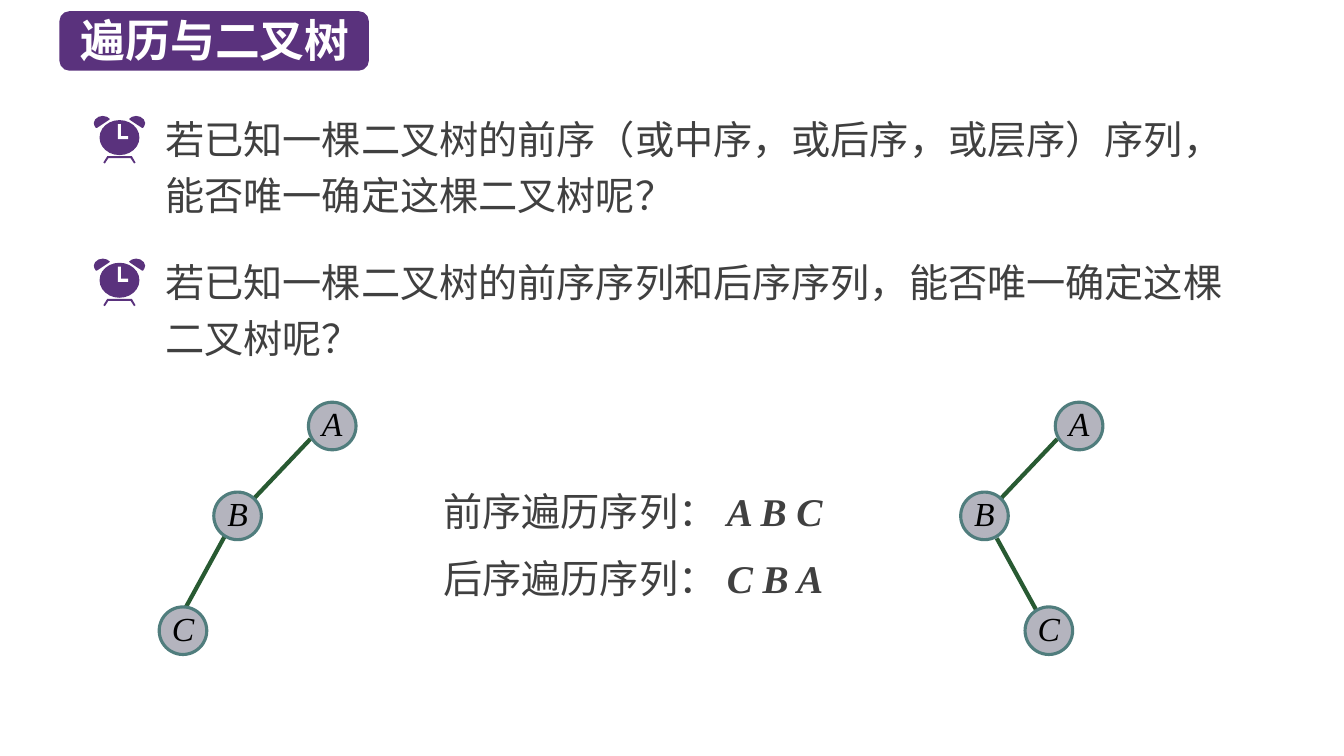
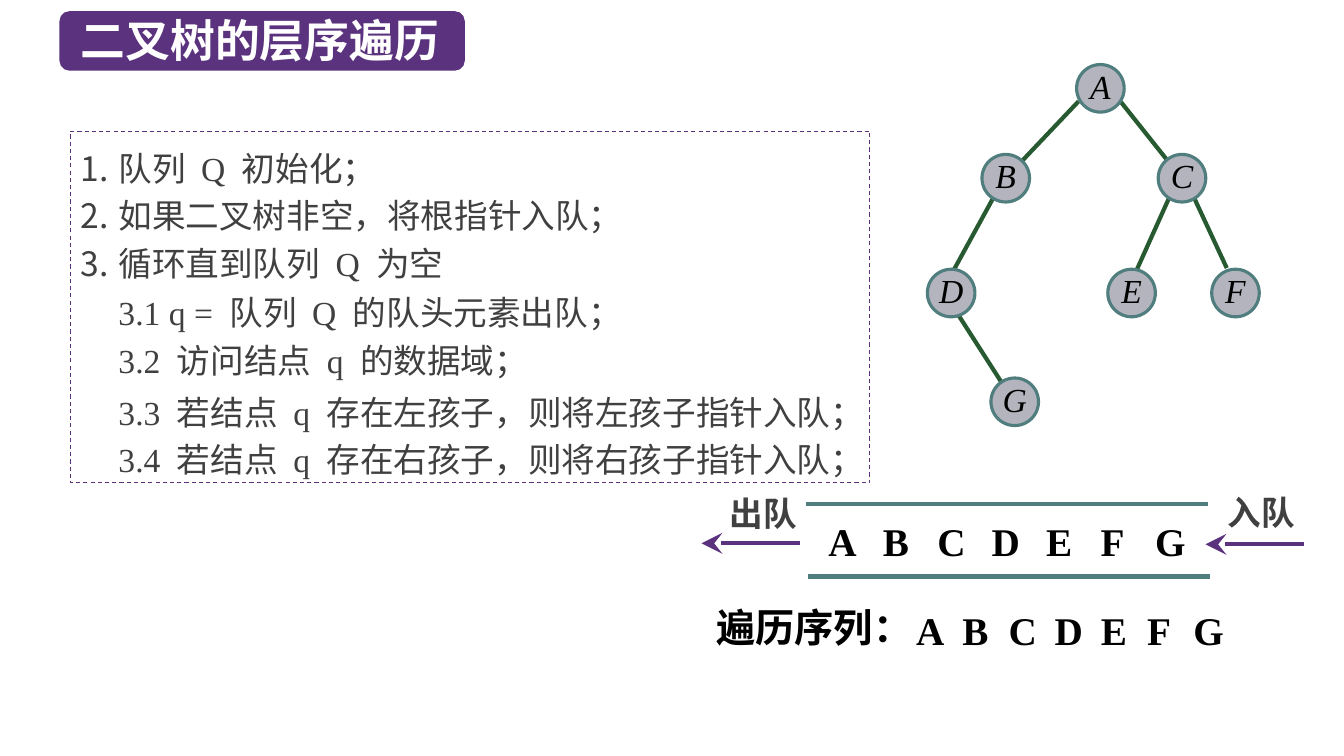
"""Build two slides on binary tree traversal."""
from lxml import etree
from pptx import Presentation
from pptx.dml.color import RGBColor
from pptx.enum import dml, shapes, text
from pptx.oxml import ns
from pptx.util import Pt

PURPLE = RGBColor(0x5A, 0x32, 0x7D)
BOX_PURPLE = RGBColor(0x5C, 0x30, 0x7D)
GRAY = RGBColor(0x40, 0x40, 0x40)
GREEN = RGBColor(0x28, 0x5A, 0x32)
TEAL = RGBColor(0x50, 0x7D, 0x7D)
NODE_GRAY = RGBColor(0xB4, 0xB4, 0xBE)
BLACK = RGBColor(0, 0, 0)
WHITE = RGBColor(0xFF, 0xFF, 0xFF)
SANS = "Noto Sans CJK SC"
SERIF = "Times New Roman"
NODE_SIZE = 34


def write(paragraph, content, size=28, font=SERIF, color=GRAY, bold=False, italic=False):
    run = paragraph.add_run()
    run.text = content
    run.font.size = Pt(size)
    run.font.name = font
    run.font.color.rgb = color
    run.font.bold = bold
    run.font.italic = italic
    properties = run.font._element
    etree.SubElement(properties, ns.qn("a:ea"), typeface=SANS)


def draw_line(slide, x1, y1, x2, y2, color):
    line = slide.shapes.add_connector(
        shapes.MSO_CONNECTOR.STRAIGHT, Pt(x1), Pt(y1), Pt(x2), Pt(y2))
    line.line.color.rgb = color
    line.line.width = Pt(3)
    etree.SubElement(line.element.spPr, ns.qn("a:effectLst"))
    return line


presentation = Presentation()
presentation.slide_width = Pt(960)
presentation.slide_height = Pt(540)

slides = []
for heading, band_width in [("遍历与二叉树", 221), ("二叉树的层序遍历", 289.5)]:
    slide = presentation.slides.add_slide(presentation.slide_layouts[1])
    slides.append(slide)
    band = slide.shapes.add_shape(
        shapes.MSO_SHAPE.ROUNDED_RECTANGLE, Pt(42.5), Pt(8), Pt(band_width), Pt(42.5))
    band.shadow.inherit = False
    band.fill.solid()
    band.fill.fore_color.rgb = PURPLE
    band.line.fill.background()
    slide.shapes.element.insert(2, band.element)
    title = slide.shapes.title
    title.left, title.top, title.width, title.height = Pt(50.4), Pt(5), Pt(band_width - 8), Pt(46)
    title.text_frame.auto_size = text.MSO_AUTO_SIZE.NONE
    title.text_frame.vertical_anchor = text.MSO_ANCHOR.MIDDLE
    title.text_frame.paragraphs[0].alignment = text.PP_ALIGN.LEFT
    write(title.text_frame.paragraphs[0], heading, size=32, font=SANS, color=WHITE, bold=True)
question_slide, level_slide = slides

questions = [
    "若已知一棵二叉树的前序（或中序，或后序，或层序）序列，能否唯一确定这棵二叉树呢？",
    "若已知一棵二叉树的前序序列和后序序列，能否唯一确定这棵二叉树呢？",
]
steps = [
    ("队列 Q 初始化；", True, 0),
    ("如果二叉树非空，将根指针入队；", True, 0),
    ("循环直到队列 Q 为空", True, 0),
    ("3.1 q = 队列 Q 的队头元素出队；", False, 1.5),
    ("3.2 访问结点 q 的数据域；", False, 0),
    ("3.3 若结点 q 存在左孩子，则将左孩子指针入队；", False, 3),
    ("3.4 若结点 q 存在右孩子，则将右孩子指针入队；", False, 0),
]
question_items = [(question, False, 22 * index) for index, question in enumerate(questions)]
for slide, place, items, margin, spacing, size, font in [
    (question_slide, (110.9, 72.7, 782, 190), question_items, 0, 40, 28, SANS),
    (level_slide, (50.4, 93.6, 571, 251.3), steps, 27, 34, 24, SERIF),
]:
    body = slide.placeholders[1]
    body.left, body.top, body.width, body.height = [Pt(length) for length in place]
    frame = body.text_frame
    frame.auto_size = text.MSO_AUTO_SIZE.NONE
    frame.vertical_anchor = text.MSO_ANCHOR.TOP
    for index, (content, numbered, space) in enumerate(items):
        paragraph = frame.paragraphs[0] if index == 0 else frame.add_paragraph()
        paragraph.line_spacing = Pt(spacing)
        paragraph.space_before = Pt(space)
        properties = paragraph._p.get_or_add_pPr()
        properties.set("marL", str(Pt(margin)))
        properties.set("indent", str(Pt(-margin if numbered else 0)))
        if numbered:
            etree.SubElement(properties, ns.qn("a:buFont"), typeface=SERIF)
            etree.SubElement(properties, ns.qn("a:buAutoNum"), type="arabicPeriod")
        else:
            etree.SubElement(properties, ns.qn("a:buNone"))
        write(paragraph, content, size=size, font=font)
algorithm_box = level_slide.placeholders[1]
algorithm_box.text_frame.margin_top = Pt(6.5)
algorithm_box.line.color.rgb = BOX_PURPLE
algorithm_box.line.width = Pt(0.75)
algorithm_box.line.dash_style = dml.MSO_LINE.DASH

left_bell = [(6.5, 0), (3.5, 0.6), (1, 2.5), (0, 5), (0.5, 7), (1.5, 8.6),
             (2.2, 8.6), (10.8, 2.9), (11.5, 2.2), (9.5, 0.7)]
right_bell = [(36.7 - x, y) for x, y in left_bell]
feet = [(6.8, 33.3), (9.6, 28.8), (27.2, 28.8), (29.8, 33.3),
        (28.8, 34), (26.3, 30.2), (10.4, 30.2), (7.9, 34)]
hands = [(17.3, 5.8), (19.4, 5.8), (19.4, 14.4), (24.5, 14.4), (24.5, 16.6), (17.3, 16.6)]
for clock_top in (82.8, 184.7):
    clock = question_slide.shapes.add_group_shape()
    clock_left = 67
    face = clock.shapes.add_shape(
        shapes.MSO_SHAPE.OVAL, Pt(clock_left + 4.1), Pt(clock_top + 3), Pt(28.5), Pt(25))
    parts = [(face, PURPLE)]
    for outline, color in [(left_bell, PURPLE), (right_bell, PURPLE), (feet, PURPLE), (hands, WHITE)]:
        points = [(Pt(clock_left + x), Pt(clock_top + y)) for x, y in outline]
        builder = clock.shapes.build_freeform(*points[0])
        builder.add_line_segments(points[1:])
        parts.append((builder.convert_to_shape(), color))
    for part, color in parts:
        part.shadow.inherit = False
        part.fill.solid()
        part.fill.fore_color.rgb = color
        part.line.fill.background()

root = (0, 0)
left_child = (-67.6, 64.2)
left_grandchild = (-106.6, 146.2)
root_edge = (1.4, 26.3, -38.9, 68.8)
left_edge = (-59.8, 95.8, -87.8, 146.9)
trees = [
    (question_slide, 220.3, 287.3,
     {"A": root, "B": left_child, "C": left_grandchild},
     [root_edge, left_edge]),
    (question_slide, 753.8, 287.3,
     {"A": root, "B": left_child, "C": (-21.6, 146.2)},
     [root_edge, (-41.8, 97.2, -13.7, 148.3)]),
    (level_slide, 769, 46.1,
     {"A": root, "B": left_child, "C": (58.3, 64.2), "D": left_grandchild,
      "E": (22.3, 146.2), "F": (96.5, 146.2), "G": (-61.2, 223.9)},
     [root_edge, left_edge, (31, 25.9, 64.8, 68.4), (-84.2, 179.3, -53.3, 227.5),
      (66.2, 95, 43.2, 146.2), (84.2, 95.8, 107.3, 145.4)]),
]
for slide, left, top, nodes, edges in trees:
    for x1, y1, x2, y2 in edges:
        draw_line(slide, left + x1, top + y1, left + x2, top + y2, GREEN)
    for name, (x, y) in nodes.items():
        node = slide.shapes.add_shape(
            shapes.MSO_SHAPE.OVAL, Pt(left + x), Pt(top + y), Pt(NODE_SIZE), Pt(NODE_SIZE))
        node.shadow.inherit = False
        node.fill.solid()
        node.fill.fore_color.rgb = NODE_GRAY
        node.line.color.rgb = TEAL
        node.line.width = Pt(2.25)
        frame = node.text_frame
        frame.margin_left = frame.margin_top = frame.margin_right = frame.margin_bottom = 0
        frame.vertical_anchor = text.MSO_ANCHOR.MIDDLE
        paragraph = frame.paragraphs[0]
        paragraph.alignment = text.PP_ALIGN.CENTER
        paragraph.line_spacing = Pt(25)
        write(paragraph, name, size=24, color=BLACK, italic=True)

for x, y in [(576, 360), (577.4, 411.8)]:
    draw_line(level_slide, x, y, x + 286.6, y, TEAL)
for x, y in [(861.1, 388.8), (501.1, 388.1)]:
    arrow = draw_line(level_slide, x, y, x + 70.6, y, PURPLE)
    etree.SubElement(arrow.line._get_or_add_ln(), ns.qn("a:headEnd"), type="stealth", w="lg", len="lg")

black_bold = {"color": BLACK, "bold": True}
queue_label = {"size": 24, "bold": True}
labels = [
    (level_slide, 869.8, 347.8, 74, 36, [("入队", queue_label)]),
    (level_slide, 514.1, 348.5, 74, 36, [("出队", queue_label)]),
    (level_slide, 504.7, 427.7, 150, 41, [("遍历序列：", black_bold)]),
]
for top, caption, sequence in [(344.2, "前序遍历序列：", "A B C"), (392.4, "后序遍历序列：", "C B A")]:
    labels.append((question_slide, 309.6, top, 303, 41, [
        (caption, {"font": SANS}), (sequence, {"bold": True, "italic": True})]))
for left, top, step in [(584.6, 365.8, 38.9), (647.3, 429.8, 33)]:
    for index, letter in enumerate("ABCDEFG"):
        labels.append((level_slide, left + step * index, top, 37.5, 41, [(letter, black_bold)]))
for slide, left, top, width, height, runs in labels:
    label = slide.shapes.add_textbox(Pt(left), Pt(top), Pt(width), Pt(height))
    label.text_frame.word_wrap = True
    for content, style in runs:
        write(label.text_frame.paragraphs[0], content, **style)

presentation.save("out.pptx")
